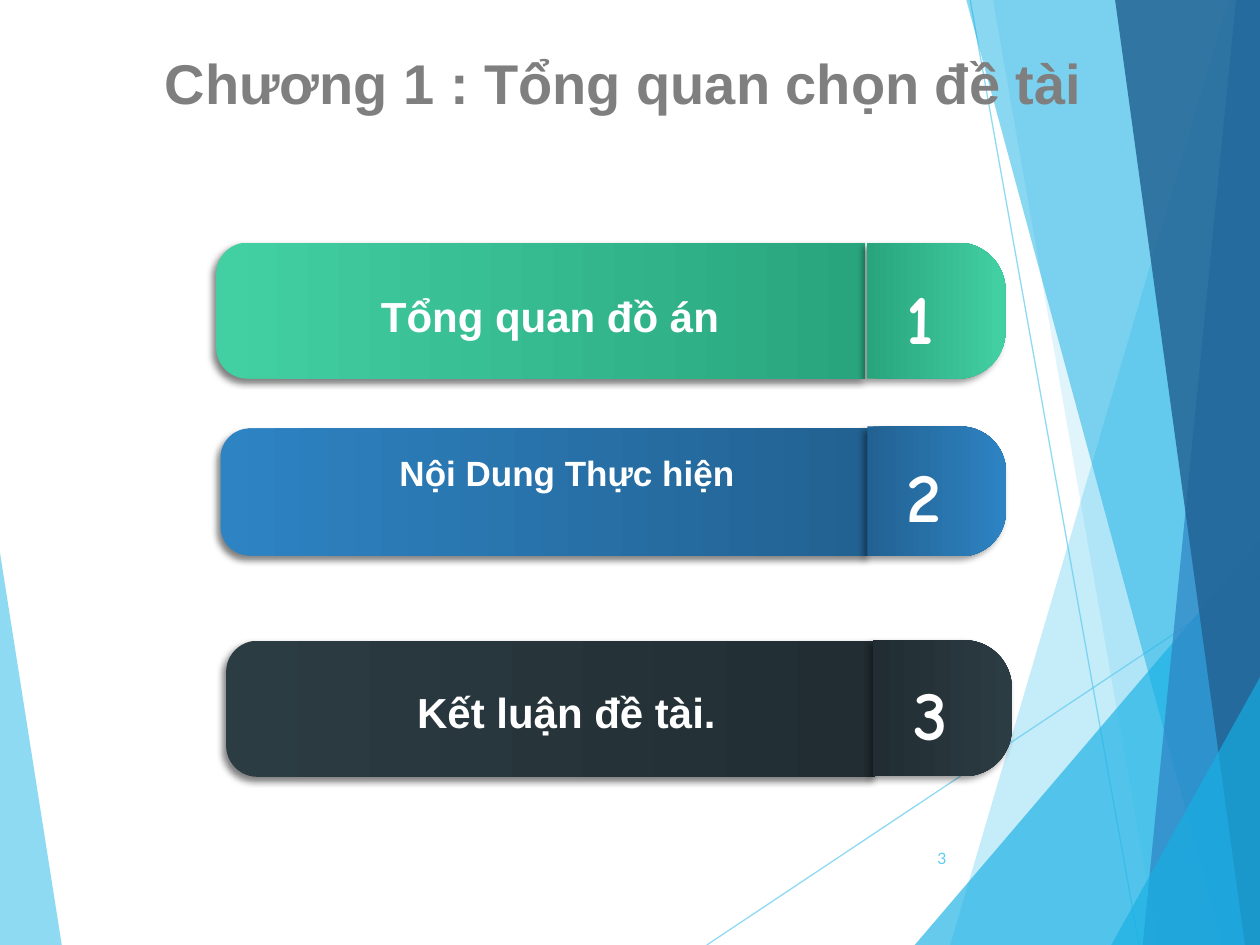
from dataclasses import dataclass

from lxml.etree import SubElement
from pptx import Presentation
from pptx.dml.color import RGBColor
from pptx.enum.shapes import MSO_CONNECTOR, MSO_SHAPE
from pptx.enum.text import MSO_ANCHOR, MSO_AUTO_SIZE, PP_ALIGN
from pptx.oxml.ns import qn
from pptx.util import Pt

WIDTH, HEIGHT = 720, 540
SKY, CYAN, BLUE, NAVY = "5FCBEF", "17B0E4", "2E83C3", "226292"
WHITE = "FFFFFF"
BAR_WIDTH, CAP_WIDTH = 370.8, 79.2


@dataclass
class Box:
    """A rectangle on the slide, in points."""
    left: float
    top: float
    width: float
    height: float


@dataclass
class Facet:
    """A translucent background polygon."""
    points: list[tuple[float, float]]
    color: str
    opacity: int


@dataclass
class Chapter:
    """A numbered chapter bar with its end cap."""
    number: str
    title: str
    title_size: int
    light: str
    dark: str
    bar: Box
    cap: Box
    title_box: Box
    number_box: Box
    number_wraps: bool = False


FACETS = [
    Facet([(0, 316), (35.3, HEIGHT), (0, HEIGHT)], SKY, 70),
    Facet([(702, 0), (543, HEIGHT), (WIDTH, HEIGHT), (WIDTH, 0)], SKY, 36),
    Facet([(567.4, 0), (661.7, HEIGHT), (WIDTH, HEIGHT), (WIDTH, 0)], SKY, 20),
    Facet([(522.7, HEIGHT), (WIDTH, 308.9), (WIDTH, HEIGHT)], CYAN, 66),
    Facet([(552.2, 0), (698.4, HEIGHT), (WIDTH, HEIGHT), (WIDTH, 0)], CYAN, 50),
    Facet([(706.3, 0), (653, HEIGHT), (WIDTH, HEIGHT), (WIDTH, 0)], BLUE, 70),
    Facet([(637.2, 0), (711.4, HEIGHT), (WIDTH, HEIGHT), (WIDTH, 0)], NAVY, 82),
    Facet([(635, HEIGHT), (WIDTH, 387), (WIDTH, HEIGHT)], CYAN, 66),
]
RAYS = [((403.9, HEIGHT), (WIDTH, 329.5)), ((554.4, 0), (650.9, HEIGHT))]
CHAPTERS = [
    Chapter("1", "Tổng quan đồ án", 24, "42D0A2", "29A57D",
            Box(123.5, 138.6, BAR_WIDTH, 77.8), Box(495.4, 138.6, CAP_WIDTH, 77.8),
            Box(144, 162.7, 340.6, 36), Box(506.2, 153.4, 38.9, 55.4)),
    Chapter("2", "Nội Dung Thực hiện", 20, BLUE, NAVY,
            Box(126, 244.8, BAR_WIDTH, 72.7), Box(495.7, 243.7, CAP_WIDTH, 74.2),
            Box(131.8, 254.2, 384.5, 31.7), Box(506.2, 254.9, 43.9, 55.4), True),
    Chapter("3", "Kết luận đề tài.", 24, "2C3C43", "212D32",
            Box(129.2, 366.1, BAR_WIDTH, 77.8), Box(499, 365.8, CAP_WIDTH, 77.8),
            Box(175, 388.8, 297.4, 36), Box(512.6, 379.4, 38.9, 55.4)),
]


def rgb(color: str) -> RGBColor:
    """Turn a hex string into a colour."""
    return RGBColor.from_string(color)


def set_opacity(shape, percent: int) -> None:
    """Make every colour of a shape translucent."""
    for color in shape._element.spPr.iter(qn("a:srgbClr")):
        SubElement(color, qn("a:alpha"), val=str(percent * 1000))


def add_facet(slide, facet: Facet) -> None:
    """Draw a background polygon."""
    start, *others = [(Pt(x), Pt(y)) for x, y in facet.points]
    builder = slide.shapes.build_freeform(*start)
    builder.add_line_segments(others, close=True)
    shape = builder.convert_to_shape()
    shape.shadow.inherit = False
    shape.fill.solid()
    shape.fill.fore_color.rgb = rgb(facet.color)
    shape.line.fill.background()
    set_opacity(shape, facet.opacity)


def add_ray(slide, start: tuple[float, float], end: tuple[float, float]) -> None:
    """Draw a thin background line."""
    ends = [Pt(value) for value in (*start, *end)]
    line = slide.shapes.add_connector(MSO_CONNECTOR.STRAIGHT, *ends)
    line.line.color.rgb = rgb(SKY)
    line.line.width = Pt(0.75)
    set_opacity(line, 70)
    SubElement(line._element.spPr, qn("a:effectLst"))


def add_panel(slide, box: Box, *, rotation: int, radius: float, colors: tuple[str, str],
              stop: float, angle: int, shadow_opacity: int, flipped: bool = False) -> None:
    """Draw a sideways panel that fills the box once it is turned."""
    left = box.left + (box.width - box.height) / 2
    top = box.top + (box.height - box.width) / 2
    shape = slide.shapes.add_shape(MSO_SHAPE.ROUND_2_SAME_RECTANGLE,
                                   Pt(left), Pt(top), Pt(box.height), Pt(box.width))
    shape.rotation = rotation
    if flipped:
        shape._element.spPr.xfrm.set("flipH", "1")
    shape.adjustments[0] = radius
    shape.adjustments[1] = 0
    shape.line.fill.background()
    shape.fill.gradient()
    shape.fill.gradient_angle = angle
    for gradient_stop, color, position in zip(shape.fill.gradient_stops, colors, (0, stop)):
        gradient_stop.color.rgb = rgb(color)
        gradient_stop.position = position
    shape.shadow.inherit = False
    effects = shape._element.spPr.find(qn("a:effectLst"))
    shadow = SubElement(effects, qn("a:outerShdw"), blurRad=str(Pt(4)), dist=str(Pt(3)),
                        dir="8100000", algn="tr", rotWithShape="0")
    color = SubElement(shadow, qn("a:srgbClr"), val="000000")
    SubElement(color, qn("a:alpha"), val=str(shadow_opacity * 1000))


def add_text(slide, text: str, box: Box, *, size: int, font: str = "Arial", color: str = WHITE,
             bold: bool = True, align=PP_ALIGN.CENTER, anchor=MSO_ANCHOR.MIDDLE,
             wrap: bool = True, fit=MSO_AUTO_SIZE.SHAPE_TO_FIT_TEXT) -> None:
    """Write one line of formatted text."""
    shape = slide.shapes.add_textbox(Pt(box.left), Pt(box.top), Pt(box.width), Pt(box.height))
    frame = shape.text_frame
    frame.word_wrap = wrap
    frame.auto_size = fit
    frame.vertical_anchor = anchor
    paragraph = frame.paragraphs[0]
    paragraph.alignment = align
    run = paragraph.add_run()
    run.text = text
    run.font.name = font
    run.font.size = Pt(size)
    run.font.bold = bold
    run.font.color.rgb = rgb(color)


def add_chapter(slide, chapter: Chapter) -> None:
    """Draw a chapter bar, its cap and both texts."""
    add_panel(slide, chapter.bar, rotation=270, radius=0.23, stop=0.99, angle=270,
              colors=(chapter.light, chapter.dark), shadow_opacity=50)
    add_panel(slide, chapter.cap, rotation=90, radius=0.35, stop=1, angle=90,
              colors=(chapter.dark, chapter.light), shadow_opacity=40, flipped=True)
    add_text(slide, chapter.number, chapter.number_box, size=40, font="Comic Neue",
             wrap=chapter.number_wraps)
    add_text(slide, chapter.title, chapter.title_box, size=chapter.title_size,
             anchor=MSO_ANCHOR.TOP)


def main() -> None:
    """Build and save the slide."""
    presentation = Presentation()
    presentation.slide_width, presentation.slide_height = Pt(WIDTH), Pt(HEIGHT)
    slide = presentation.slides.add_slide(presentation.slide_layouts[6])
    for start, end in RAYS:
        add_ray(slide, start, end)
    for facet in FACETS:
        add_facet(slide, facet)
    add_text(slide, "Chương 1 : Tổng quan chọn đề tài", Box(85, 23.8, 542.9, 46),
             size=32, color="7F7F7F", wrap=False)
    for chapter in CHAPTERS:
        add_chapter(slide, chapter)
    add_text(slide, "3", Box(507.6, 475.9, 40.3, 28.8), size=9, font="Lato", color=SKY,
             bold=False, align=PP_ALIGN.RIGHT, fit=MSO_AUTO_SIZE.NONE)
    presentation.save("out.pptx")


if __name__ == "__main__":
    main()
